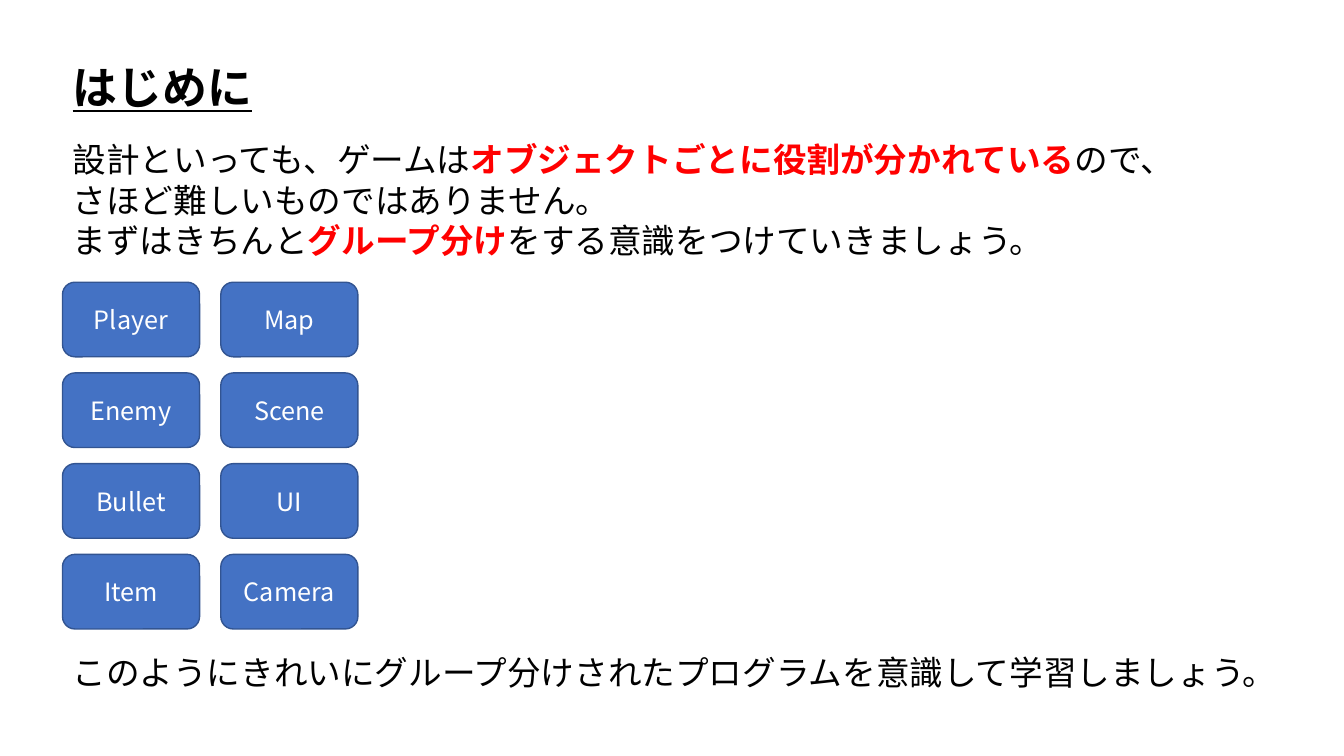
from pptx import Presentation
from pptx.dml.color import RGBColor
from pptx.enum.shapes import MSO_SHAPE
from pptx.enum.text import MSO_ANCHOR, MSO_AUTO_SIZE, PP_ALIGN
from pptx.oxml.ns import qn
from pptx.util import Inches, Pt
from lxml import etree

FONT = "Noto Sans CJK JP"
COLORS = {"text": "000000", "accent": "FF0000", "box": "4472C4",
          "border": "325491", "label": "FFFFFF"}


def add_run(paragraph, text, size, color="text", **extra):
    run = paragraph.add_run()
    run.text = text
    font_format = {"name": FONT, "size": Pt(size), "bold": False, **extra}
    for attribute, value in font_format.items():
        setattr(run.font, attribute, value)
    run.font.color.rgb = RGBColor.from_string(COLORS[color])
    # Japanese glyphs take the East Asian font
    latin = run.font._element.find(qn("a:latin"))
    east_asian = etree.Element(qn("a:ea"), typeface=FONT)
    latin.addnext(east_asian)


def place_text(shape, left, top, width, height):
    placement = {"left": left, "top": top, "width": width, "height": height}
    for attribute, value in placement.items():
        setattr(shape, attribute, Inches(value))
    frame_format = {"word_wrap": False, "vertical_anchor": MSO_ANCHOR.TOP,
                    "auto_size": MSO_AUTO_SIZE.SHAPE_TO_FIT_TEXT}
    for attribute, value in frame_format.items():
        setattr(shape.text_frame, attribute, value)
    return shape.text_frame


presentation = Presentation()
presentation.slide_width = Inches(13.33)
presentation.slide_height = Inches(7.5)
slide = presentation.slides.add_slide(presentation.slide_layouts[1])

# Heading
heading = place_text(slide.shapes.title, 0.62, 0.54, 2, 0.64).paragraphs[0]
heading.alignment = PP_ALIGN.LEFT
add_run(heading, "はじめに", 32, bold=True, underline=True)

# Introduction: each line is a list of (text, colour)
introduction_lines = [
    [("設計といっても、ゲームは", "text"),
     ("オブジェクトごとに役割が分かれている", "accent"),
     ("ので、", "text")],
    [("さほど難しいものではありません。", "text")],
    [("まずはきちんと", "text"),
     ("グループ分け", "accent"),
     ("をする意識をつけていきましょう。", "text")],
]
introduction = place_text(slide.placeholders[1], 0.62, 1.33, 11.31, 1.31)
for index, line in enumerate(introduction_lines):
    paragraph = introduction.add_paragraph() if index else introduction.paragraphs[0]
    properties = paragraph._p.get_or_add_pPr()
    properties.set("marL", "0")
    properties.set("indent", "0")
    etree.SubElement(properties, qn("a:buNone"))
    paragraph.space_before = Pt(0)
    for text, color in line:
        add_run(paragraph, text, 24, color, bold=color == "accent")

# Game object groups, one list per column
group_columns = [["Player", "Enemy", "Bullet", "Item"],
                 ["Map", "Scene", "UI", "Camera"]]
for column, groups in enumerate(group_columns):
    for row, group in enumerate(groups):
        box = slide.shapes.add_shape(
            MSO_SHAPE.ROUNDED_RECTANGLE,
            Inches(0.62 + 1.57 * column), Inches(2.8 + 0.9 * row),
            Inches(1.36), Inches(0.74))
        box.shadow.inherit = False
        box.fill.solid()
        box.fill.fore_color.rgb = RGBColor.from_string(COLORS["box"])
        box.line.color.rgb = RGBColor.from_string(COLORS["border"])
        box.line.width = Pt(1)
        box.text_frame.vertical_anchor = MSO_ANCHOR.MIDDLE
        label = box.text_frame.paragraphs[0]
        label.alignment = PP_ALIGN.CENTER
        add_run(label, group, 18, "label")

# Closing sentence
closing_box = slide.shapes.add_textbox(0, 0, 0, 0)
closing = place_text(closing_box, 0.62, 6.42, 12.32, 0.5).paragraphs[0]
add_run(closing, "このようにきれいにグループ分けされたプログラムを意識して学習しましょう。", 24)

presentation.save("out.pptx")
